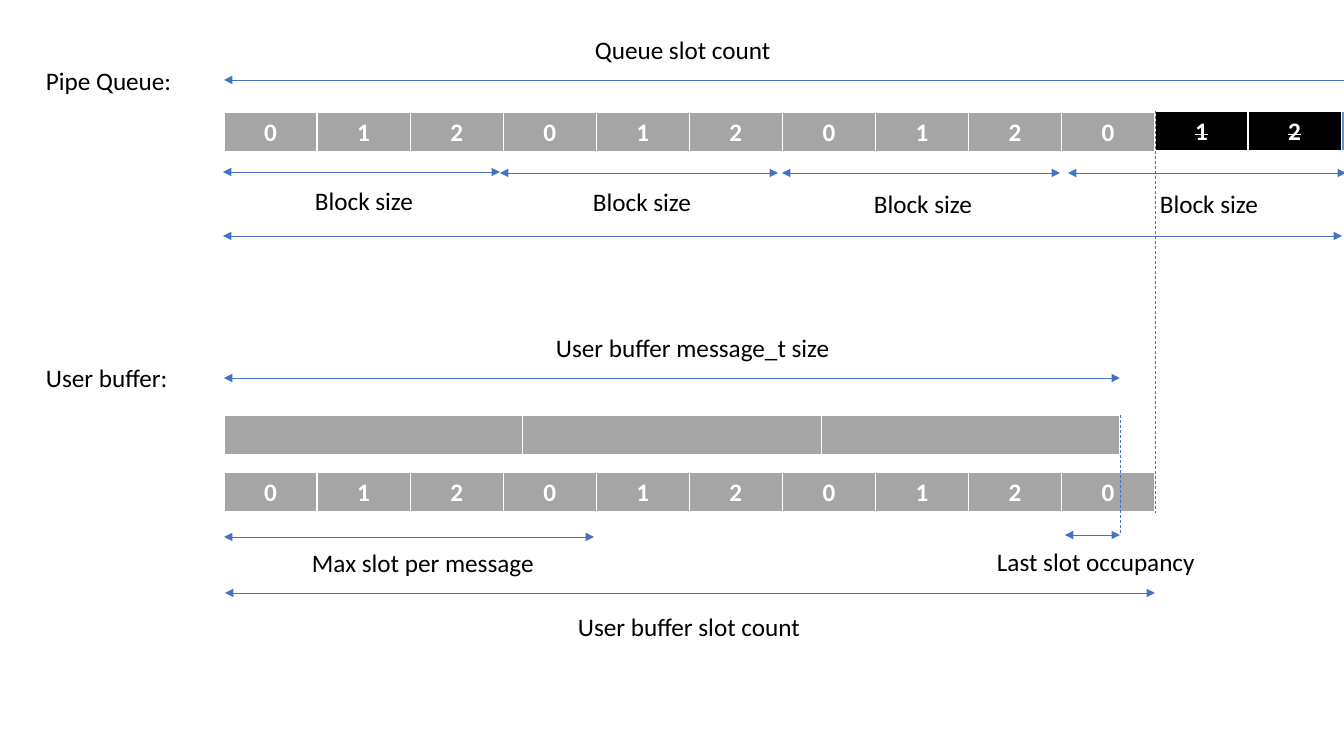
"""Draw how a user buffer maps onto the slots of a pipe queue."""
from typing import NamedTuple

from lxml.etree import SubElement
from pptx import Presentation
from pptx.dml.color import RGBColor
from pptx.enum.dml import MSO_LINE
from pptx.enum.shapes import MSO_CONNECTOR
from pptx.enum.text import MSO_ANCHOR, MSO_AUTO_SIZE, PP_ALIGN
from pptx.oxml.ns import qn
from pptx.util import Pt

SCALE = 12192000 / 1344
BLUE, GRAY, SKY, BLACK, WHITE = "4472C4", "A5A5A5", "5B9BD5", "000000", "FFFFFF"
QUEUE_Y, SPAN = 112, 931
CYCLE = ("0", "1", "2") * 4
SLOTS, REST = CYCLE[:10], CYCLE[1:11]


class Row(NamedTuple):
    """A strip of equal slots, the first of them perhaps lost."""
    x: int
    y: int
    width: int
    slots: tuple
    fill: str = GRAY
    lost: int = 0


class Label(NamedTuple):
    """A caption on one line."""
    x: int
    y: int
    width: int
    text: str


class Span(NamedTuple):
    """A level measure line."""
    x: int
    end: int
    y: int


class Guide(NamedTuple):
    """An upright dashed line."""
    x: int
    top: int
    end: int


ROWS = [
    Row(224, QUEUE_Y, SPAN, SLOTS),
    Row(224, 415, 896, ("",) * 3),
    Row(224, 472, SPAN, SLOTS),
    Row(1155, QUEUE_Y - 1, SPAN, REST, SKY, 2),
]
LABELS = [
    Label(36, 60, 147, "Pipe Queue:"),
    Label(36, 357, 144, "User buffer:"),
    Label(585, 29, 199, "Queue slot count"),
    Label(546, 327, 297, "User buffer message_t size"),
    Label(568, 606, 245, "User buffer slot count"),
    Label(302, 542, 245, "Max slot per message"),
    Label(987, 541, 221, "Last slot occupancy"),
    *(Label(x, y, 120, "Block size")
      for x, y in ((305, 180), (583, 181), (864, 183), (1150, 183))),
]
SPANS = [
    Span(224, 2042, 80),
    Span(224, 1120, 378),
    Span(225, 1155, 593),
    Span(224, 594, 537),
    Span(1065, 1120, 535),
    Span(223, 1342, 236),
    Span(223, 500, 172),
    Span(500, 778, 173),
    Span(782, 1060, 173),
    Span(1068, 1346, 173),
]
GUIDES = [Guide(1120, 415, 535), Guide(1155, 111, 513)]


def px(*values: int) -> list[int]:
    """Turn pixels into EMU."""
    return [round(value * SCALE) for value in values]


def paint(target, color: str) -> None:
    """Give a fill a solid colour."""
    target.solid()
    target.fore_color.rgb = RGBColor.from_string(color)


def write(frame, text: str, *, color: str = BLACK, bold: bool = False,
          strike: bool = False, align=PP_ALIGN.LEFT) -> None:
    """Write one formatted line into a text frame."""
    para = frame.paragraphs[0]
    para.alignment = align
    para.font.size = Pt(18)
    if not text:
        return
    run = para.add_run()
    run.text = text
    run.font.name, run.font.size, run.font.bold = "Calibri", Pt(18), bold
    paint(run.font.fill, color)
    if strike:
        run._r.get_or_add_rPr().set("strike", "sngStrike")


def edge(cell) -> None:
    """Add white borders to a cell, thick at the base."""
    props = cell._tc.get_or_add_tcPr()
    for side, width in (("L", 1), ("R", 1), ("T", 1), ("B", 3)):
        line = SubElement(props, qn(f"a:ln{side}"), w=str(Pt(width)))
        fill = SubElement(line, qn("a:solidFill"))
        SubElement(fill, qn("a:srgbClr"), val=WHITE)


def draw_row(shapes, row: Row) -> None:
    """Draw a strip of slots as a table."""
    box = px(row.x, row.y, row.width, 41)
    table = shapes.add_table(1, len(row.slots), *box).table
    table.first_row = table.horz_banding = False
    for column in table.columns:
        column.width = box[2] // len(row.slots)
    for spot, text in enumerate(row.slots):
        cell, lost = table.cell(0, spot), spot < row.lost
        cell.vertical_anchor = MSO_ANCHOR.TOP
        edge(cell)
        paint(cell.fill, BLACK if lost else row.fill)
        write(cell.text_frame, text, color=WHITE, bold=True,
              strike=lost, align=PP_ALIGN.CENTER)


def draw_label(shapes, label: Label) -> None:
    """Draw a caption."""
    box = px(label.x, label.y, label.width, 40)
    frame = shapes.add_textbox(*box).text_frame
    frame.word_wrap = False
    frame.auto_size = MSO_AUTO_SIZE.SHAPE_TO_FIT_TEXT
    write(frame, label.text)


def draw_line(shapes, ends: tuple, *, tips: tuple = (), dash=None) -> None:
    """Draw a thin line with optional tips or dashes."""
    link = shapes.add_connector(MSO_CONNECTOR.STRAIGHT, *px(*ends))
    link.line.width = Pt(0.5)
    paint(link.line.fill, BLUE)
    if dash:
        link.line.dash_style = dash
    props = link._element.spPr
    for tip in tips:
        SubElement(props.find(qn("a:ln")), qn(f"a:{tip}"), type="triangle")
    SubElement(props, qn("a:effectLst"))


def main() -> None:
    """Build and save the slide."""
    deck = Presentation()
    deck.slide_width, deck.slide_height = px(1344, 756)
    shapes = deck.slides.add_slide(deck.slide_layouts[6]).shapes
    for row in ROWS:
        draw_row(shapes, row)
    for label in LABELS:
        draw_label(shapes, label)
    for span in SPANS:
        draw_line(shapes, (span.x, span.y, span.end, span.y),
                  tips=("headEnd", "tailEnd"))
    for guide in GUIDES:
        draw_line(shapes, (guide.x, guide.top, guide.x, guide.end),
                  dash=MSO_LINE.DASH)
    deck.save("out.pptx")


main()
